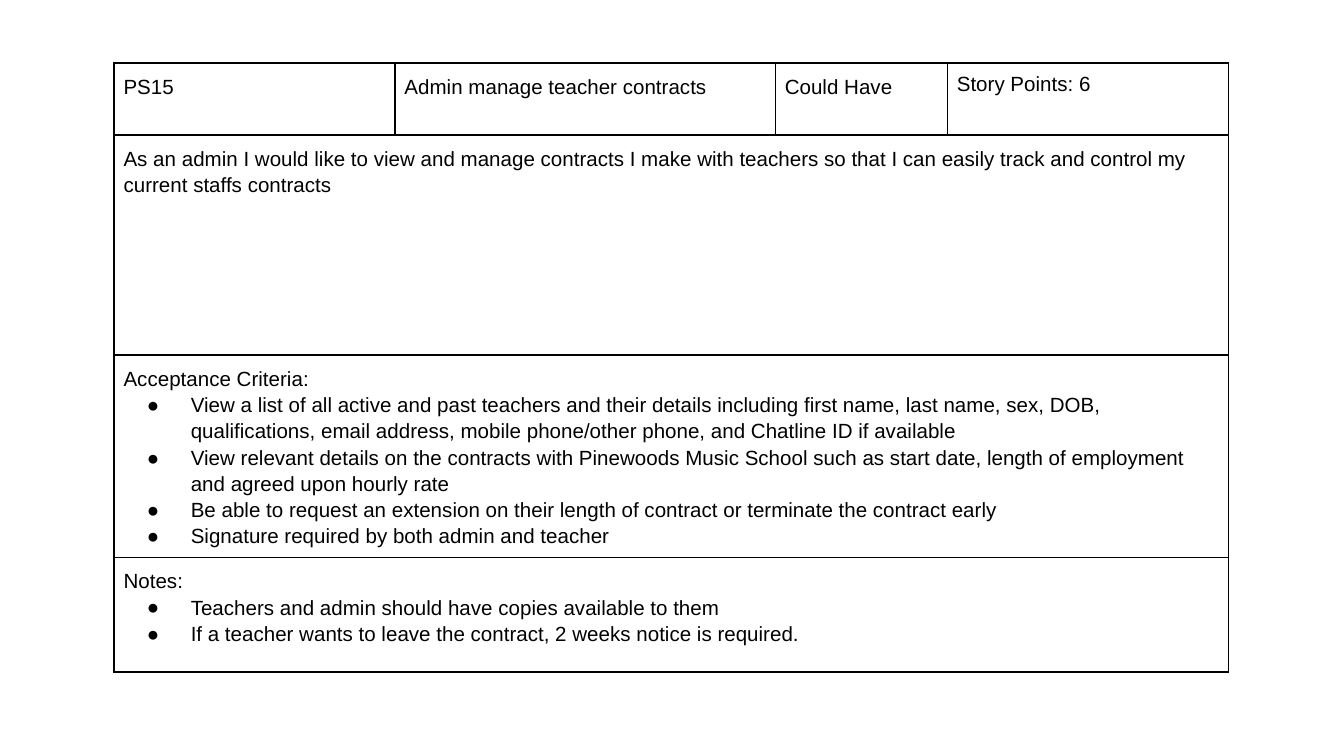
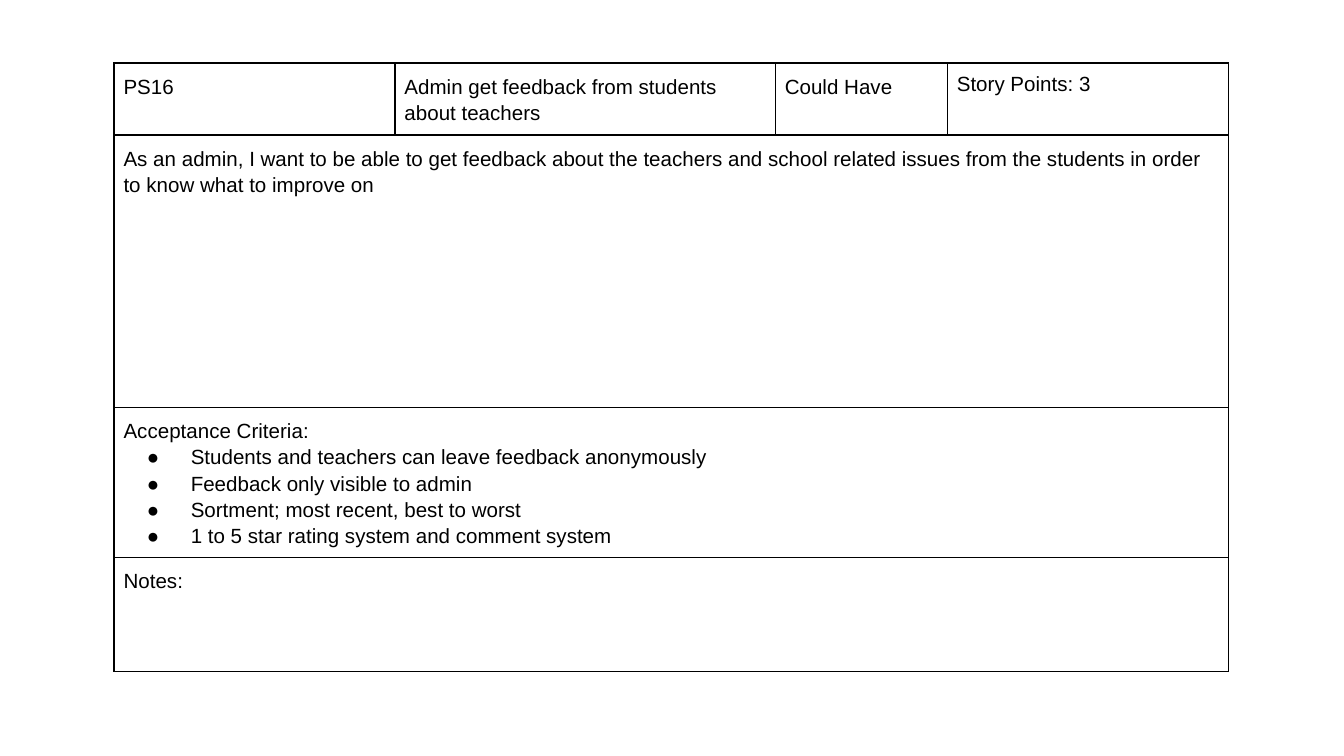
import pptx
import pptx.dml.color
import pptx.oxml
import pptx.oxml.ns
import pptx.util
from pptx.util import Pt

BLACK = pptx.dml.color.RGBColor(0x00, 0x00, 0x00)
FONT = "Arial"
TEXT_SIZE = Pt(11)
MARGIN = Pt(5)
LINE_SPACING = 1.15
BORDER = Pt(1)
BULLET_LEFT, BULLET_HANG = Pt(36), Pt(-23.5)

CARD_LEFT, CARD_TOP = Pt(61.2), Pt(33.9)
COLUMN_WIDTHS = [Pt(150.5), Pt(203.75), Pt(92.2), Pt(150.5)]
HEADER_HEIGHT, SECTION_HEIGHT = Pt(38.4), Pt(61.2)

STORIES = [
    {
        "header": ["PS15", "Admin manage teacher contracts", "Could Have", "Story Points: 6"],
        "story": "As an admin I would like to view and manage contracts I make with teachers "
                 "so that I can easily track and control my current staffs contracts",
        "story_height": Pt(118),
        "criteria": [
            "View a list of all active and past teachers and their details including first name, "
            "last name, sex, DOB, qualifications, email address, mobile phone/other phone, "
            "and Chatline ID if available",
            "View relevant details on the contracts with Pinewoods Music School such as start date, "
            "length of employment and agreed upon hourly rate",
            "Be able to request an extension on their length of contract or terminate "
            "the contract early",
            "Signature required by both admin and teacher",
        ],
        "notes": [
            "Teachers and admin should have copies available to them",
            "If a teacher wants to leave the contract, 2 weeks notice is required.",
        ],
    },
    {
        "header": ["PS16", "Admin get feedback from students about teachers", "Could Have",
                   "Story Points: 3"],
        "story": "As an admin, I want to be able to get feedback about the teachers and school "
                 "related issues from the students in order to know what to improve on",
        "story_height": Pt(146),
        "criteria": [
            "Students and teachers can leave feedback anonymously",
            "Feedback only visible to admin",
            "Sortment; most recent, best to worst",
            "1 to 5 star rating system and comment system",
        ],
        "notes": [],
    },
]


def add_child(parent, xml):
    ns = pptx.oxml.ns.nsdecls("a")
    parent.append(pptx.oxml.parse_xml(xml.replace("NS", ns, 1)))


def style_cell(cell):
    """Give the cell black borders, no fill and equal margins."""
    tcPr = cell._tc.get_or_add_tcPr()
    for side in "LRTB":
        add_child(tcPr, f'<a:ln{side} NS w="{BORDER}"><a:solidFill><a:srgbClr val="{BLACK}"/>'
                        f'</a:solidFill></a:ln{side}>')
    cell.fill.background()
    cell.margin_left = cell.margin_right = MARGIN
    cell.margin_top = cell.margin_bottom = MARGIN


def add_bullet(p):
    pPr = p._p.get_or_add_pPr()
    pPr.set("marL", str(BULLET_LEFT))
    pPr.set("indent", str(BULLET_HANG))
    add_child(pPr, f'<a:buClr NS><a:srgbClr val="{BLACK}"/></a:buClr>')
    add_child(pPr, f'<a:buFont NS typeface="{FONT}"/>')
    add_child(pPr, '<a:buChar NS char="●"/>')


def write_cell(cell, text, bullets=(), line_spacing=LINE_SPACING):
    tf = cell.text_frame
    tf.text = text
    for bullet in bullets:
        p = tf.add_paragraph()
        p.text = bullet
        add_bullet(p)
    for p in tf.paragraphs:
        if line_spacing:
            p.line_spacing = line_spacing
        for r in p.runs:
            r.font.name = FONT
            r.font.size = TEXT_SIZE
            r.font.color.rgb = BLACK


def add_story_card(s, story, left, top):
    heights = [HEADER_HEIGHT, story["story_height"], SECTION_HEIGHT, SECTION_HEIGHT]
    frame = s.shapes.add_table(len(heights), len(COLUMN_WIDTHS), left, top,
                               sum(COLUMN_WIDTHS), sum(heights))
    table = frame.table
    table.first_row = table.horz_banding = False
    for column, width in zip(table.columns, COLUMN_WIDTHS):
        column.width = width
    for row, height in zip(table.rows, heights):
        row.height = height
    for cell in table.iter_cells():
        style_cell(cell)

    *labels, points = story["header"]
    for i, label in enumerate(labels):
        write_cell(table.cell(0, i), label)
    write_cell(table.cell(0, len(labels)), points, line_spacing=None)

    sections = [
        (story["story"], []),
        ("Acceptance Criteria:", story["criteria"]),
        ("Notes:", story["notes"]),
    ]
    for i, (text, bullets) in enumerate(sections, start=1):
        cell = table.cell(i, 0)
        cell.merge(table.cell(i, len(COLUMN_WIDTHS) - 1))
        write_cell(cell, text, bullets)


def main():
    prs = pptx.Presentation()
    prs.slide_width, prs.slide_height = Pt(720), Pt(405)
    blank = prs.slide_layouts[6]
    for story in STORIES:
        add_story_card(prs.slides.add_slide(blank), story, CARD_LEFT, CARD_TOP)
    prs.save("out.pptx")


if __name__ == "__main__":
    main()
